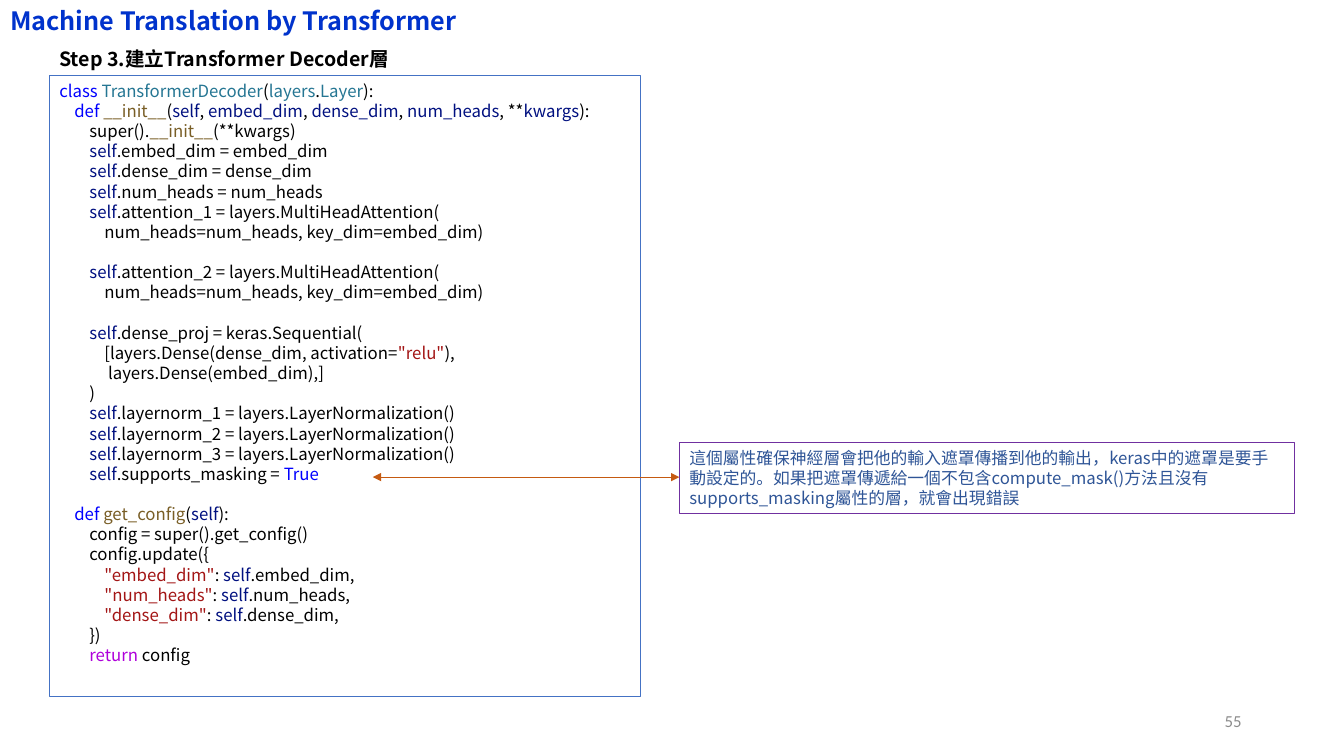
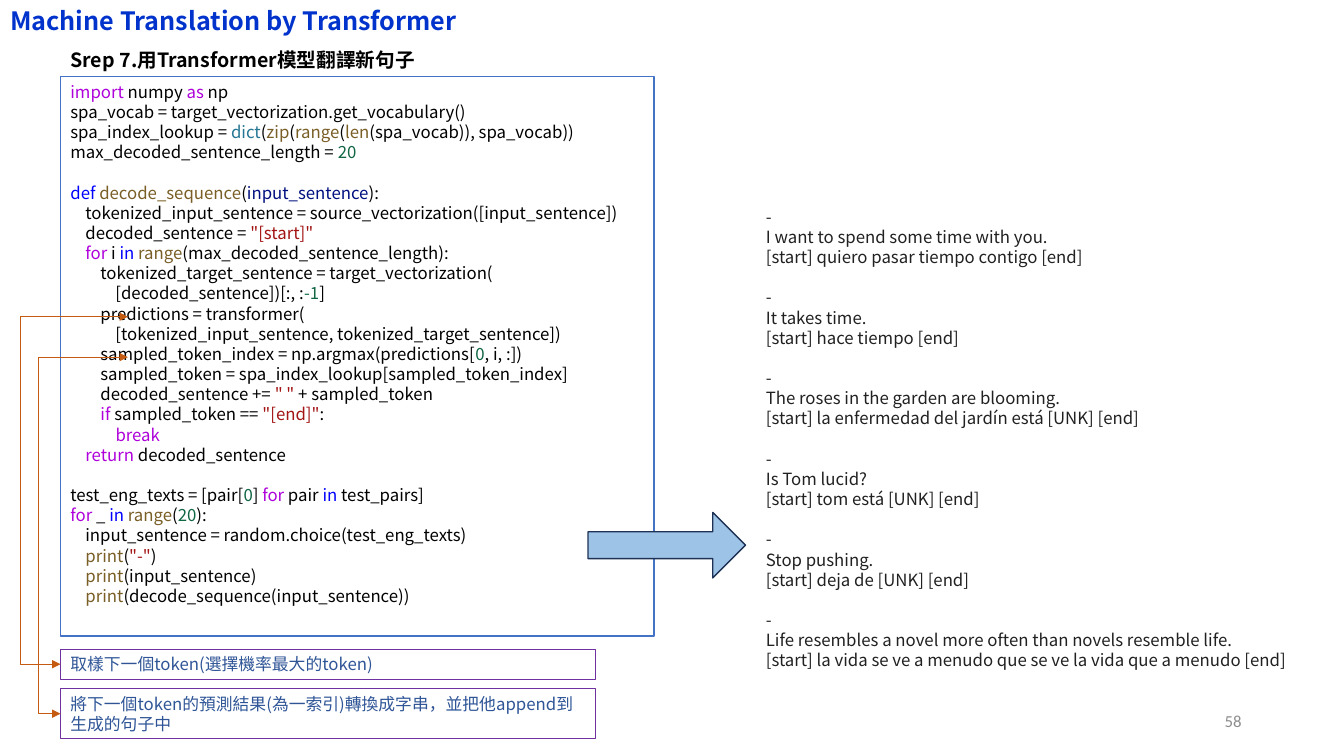
import pptx
import pptx.dml.color
import pptx.enum.shapes
import pptx.enum.text
import pptx.oxml.ns
import pptx.util
from lxml import etree

Pt = pptx.util.Pt
qn = pptx.oxml.ns.qn
ALIGN = pptx.enum.text.PP_ALIGN
ANCHOR = pptx.enum.text.MSO_ANCHOR
SHAPE = pptx.enum.shapes.MSO_SHAPE
CONNECTOR = pptx.enum.shapes.MSO_CONNECTOR

SANS = "Noto Sans CJK SC"
LEADING = 1.2
CODE_SIZE = 12
LINE_HEIGHT = CODE_SIZE * LEADING

BLUE, PURPLE, ORANGE = "4472C4", "7030A0", "C55A11"
TITLE = {"size": Pt(18), "name": SANS, "bold": True, "color": "0033CC"}
STEP = {"size": Pt(14), "name": SANS, "bold": True, "color": "000000"}
CODE = {"size": Pt(CODE_SIZE), "name": SANS, "bold": False, "color": "000000"}
NOTE = CODE | {"color": "2F5597"}
OUTPUT = CODE | {"color": "212121"}
NUMBER = CODE | {"name": "Calibri", "color": "8C8C8C"}

SYNTAX = {
    "x": "000000",
    "k": "0000FF",
    "t": "257693",
    "f": "795E26",
    "v": "001080",
    "s": "A31515",
    "n": "116644",
    "c": "AF00DB",
}

DECODER_CODE = (
    '''\
|kclass |tTransformerDecoder|x(|tlayers|x.|tLayer|x):
    |kdef |f__init__|x(|vself|x, |vembed_dim|x, |vdense_dim|x, |vnum_heads|x, **|vkwargs|x):
        super().|f__init__|x(**kwargs)
        |vself|x.embed_dim = embed_dim
        |vself|x.dense_dim = dense_dim
        |vself|x.num_heads = num_heads
        |vself|x.attention_1 = layers.MultiHeadAttention(
            num_heads=num_heads, key_dim=embed_dim)''',
    '''\
        |vself|x.attention_2 = layers.MultiHeadAttention(
            num_heads=num_heads, key_dim=embed_dim)''',
    '''\
        |vself|x.dense_proj = keras.Sequential(
            [layers.Dense(dense_dim, activation=|s"relu"|x),
             layers.Dense(embed_dim),]
        )
        |vself|x.layernorm_1 = layers.LayerNormalization()
        |vself|x.layernorm_2 = layers.LayerNormalization()
        |vself|x.layernorm_3 = layers.LayerNormalization()
        |vself|x.supports_masking = |kTrue''',
    '''\
    |kdef |fget_config|x(|vself|x):
        config = super().get_config()
        config.update({
            |s"embed_dim"|x: |vself|x.embed_dim,
            |s"num_heads"|x: |vself|x.num_heads,
            |s"dense_dim"|x: |vself|x.dense_dim,
        })
        |creturn|x config''',
)

TRANSLATE_CODE = (
    '''\
|cimport|x numpy |cas|x np
spa_vocab = target_vectorization.get_vocabulary()
spa_index_lookup = |tdict|x(|fzip|x(|frange|x(|flen|x(spa_vocab)), spa_vocab))
max_decoded_sentence_length = |n20''',
    '''\
|kdef |fdecode_sequence|x(|vinput_sentence|x):
    tokenized_input_sentence = source_vectorization([input_sentence])
    decoded_sentence = |s"[start]"
    |cfor|x i |kin |frange|x(max_decoded_sentence_length):
        tokenized_target_sentence = target_vectorization(
            [decoded_sentence])[:, :|n-1|x]
        predictions = transformer(
            [tokenized_input_sentence, tokenized_target_sentence])
        sampled_token_index = np.argmax(predictions[|n0|x, i, :])
        sampled_token = spa_index_lookup[sampled_token_index]
        decoded_sentence += |s" "|x + sampled_token
        |cif|x sampled_token == |s"[end]"|x:
            |cbreak
    |creturn|x decoded_sentence''',
    '''\
test_eng_texts = [pair[|n0|x] |cfor|x pair |kin|x test_pairs]
|cfor|x _ |kin |frange|x(|n20|x):
    input_sentence = random.choice(test_eng_texts)
    |fprint|x(|s"-"|x)
    |fprint|x(input_sentence)
    |fprint|x(decode_sequence(input_sentence))''',
)

TRANSLATIONS = (
    "-\nI want to spend some time with you.\n[start] quiero pasar tiempo contigo [end]",
    "-\nIt takes time.\n[start] hace tiempo [end]",
    "-\nThe roses in the garden are blooming.\n"
    "[start] la enfermedad del jardín está [UNK] [end]",
    "-\nIs Tom lucid?\n[start] tom está [UNK] [end]",
    "-\nStop pushing.\n[start] deja de [UNK] [end]",
    "-\nLife resembles a novel more often than novels resemble life.\n"
    "[start] la vida se ve a menudo que se ve la vida que a menudo [end]",
)


def rgb(value):
    return pptx.dml.color.RGBColor.from_string(value)


def add_run(p, text, style):
    r = p.add_run()
    r.text = text
    for name, value in style.items():
        if name == "color":
            r.font.color.rgb = rgb(value)
        else:
            setattr(r.font, name, value)
    etree.SubElement(r.font._element, qn("a:ea"), typeface=style["name"])


def write(tf, blocks, style, align=ALIGN.LEFT, anchor=ANCHOR.TOP):
    frame = {
        "word_wrap": True,
        "auto_size": pptx.enum.text.MSO_AUTO_SIZE.NONE,
        "vertical_anchor": anchor,
        "margin_left": Pt(7.2),
        "margin_right": Pt(7.2),
        "margin_top": Pt(3.6),
        "margin_bottom": Pt(3.6),
    }
    for name, value in frame.items():
        setattr(tf, name, value)
    leading = Pt(style["size"].pt * LEADING)
    p = tf.paragraphs[0]
    for b, block in enumerate(blocks):
        for i, line in enumerate(block.split("\n")):
            if b or i:
                p = tf.add_paragraph()
            gap = leading if b and not i else 0
            layout = {"alignment": align, "line_spacing": leading, "space_before": gap}
            for name, value in layout.items():
                setattr(p, name, value)
            plain, *tokens = line.split("|")
            if plain:
                add_run(p, plain, style)
            for token in tokens:
                add_run(p, token[1:], style | {"color": SYNTAX[token[0]]})


def text_box(s, box, blocks, style, border=None, **layout):
    sp = s.shapes.add_textbox(*map(Pt, box))
    write(sp.text_frame, blocks, style, **layout)
    if border:
        sp.line.color.rgb = rgb(border)
        sp.line.width = Pt(0.75)


def double_arrow(s, start, end, bend=None):
    kind = CONNECTOR.STRAIGHT if bend is None else CONNECTOR.ELBOW
    cn = s.shapes.add_connector(kind, *map(Pt, start + end))
    cn.line.color.rgb = rgb(ORANGE)
    cn.line.width = Pt(0.5)
    for tag in ("a:headEnd", "a:tailEnd"):
        etree.SubElement(cn.line._get_or_add_ln(), qn(tag), type="triangle")
    props = cn._element.spPr
    etree.SubElement(props, qn("a:effectLst"))
    if bend is not None:
        geom = props.find(qn("a:prstGeom"))
        guides = geom.find(qn("a:avLst"))
        if guides is None:
            guides = etree.SubElement(geom, qn("a:avLst"))
        ratio = round(100000 * (bend - start[0]) / (end[0] - start[0]))
        etree.SubElement(guides, qn("a:gd"), name="adj1", fmla=f"val {ratio}")


def line_y(box, n):
    return box[1] + 6 + LINE_HEIGHT * (n + 0.5)


def add_slide(prs, number):
    s = prs.slides.add_slide(prs.slide_layouts[5])
    sp = s.shapes.title
    sp.left, sp.top, sp.width, sp.height = map(Pt, (0, 0, 600, 28.8))
    write(sp.text_frame, ["Machine Translation by Transformer"], TITLE)
    text_box(s, (678, 500.4, 216, 28.8), [number], NUMBER,
             align=ALIGN.RIGHT, anchor=ANCHOR.MIDDLE)
    return s


def code_panel(s, box, step, code):
    left, top, width, _ = box
    text_box(s, (left, top - 24, width, 24), [step], STEP)
    text_box(s, box, code, CODE, BLUE)


def side_note(s, box, code_box, n, text):
    text_box(s, box, [text], NOTE, PURPLE)
    y = line_y(code_box, n)
    double_arrow(s, (box[0], y), (code_box[0] + 231, y))


def bottom_note(s, box, code_box, n, bend, text):
    text_box(s, box, [text], NOTE, PURPLE)
    left, top, _, height = box
    double_arrow(s, (left, top + height / 2),
                 (code_box[0] + 48.2, line_y(code_box, n)), left - bend)


def output_arrow(s, box):
    sp = s.shapes.add_shape(SHAPE.RIGHT_ARROW, *map(Pt, box))
    sp.shadow.inherit = False
    sp.adjustments[0], sp.adjustments[1] = 0.41, 0.5
    sp.fill.solid()
    sp.fill.fore_color.rgb = rgb("9DC3E6")
    sp.line.color.rgb = rgb("1E3256")
    sp.line.width = Pt(1)


def decoder_slide(prs):
    s = add_slide(prs, "55")
    code_box = (35.3, 54, 422.6, 443.5)
    code_panel(s, code_box, "Step 3.建立Transformer Decoder層", DECODER_CODE)
    side_note(s, (485.3, 316, 439.2, 51), code_box, 19,
              "這個屬性確保神經層會把他的輸入遮罩傳播到他的輸出，keras中的遮罩是要手動設定的。"
              "如果把遮罩傳遞給一個不包含compute_mask()方法且沒有supports_masking屬性的層，就會出現錯誤")


def translate_slide(prs):
    s = add_slide(prs, "58")
    code_box = (43.2, 54.7, 424, 399.6)
    code_panel(s, code_box, "Srep 7.用Transformer模型翻譯新句子", TRANSLATE_CODE)
    notes = (
        (463.7, 21.6, 11, 28.8, "取樣下一個token(選擇機率最大的token)"),
        (491.8, 36, 13, 16, "將下一個token的預測結果(為一索引)轉換成字串，並把他append到生成的句子中"),
    )
    for top, height, n, bend, text in notes:
        bottom_note(s, (code_box[0], top, 382.3, height), code_box, n, bend, text)
    text_box(s, (540, 144, 415.4, 342), TRANSLATIONS, OUTPUT)
    output_arrow(s, (420, 366, 112.5, 46.8))


def main():
    prs = pptx.Presentation()
    prs.slide_width, prs.slide_height = Pt(960), Pt(540)
    decoder_slide(prs)
    translate_slide(prs)
    prs.save("out.pptx")


if __name__ == "__main__":
    main()
